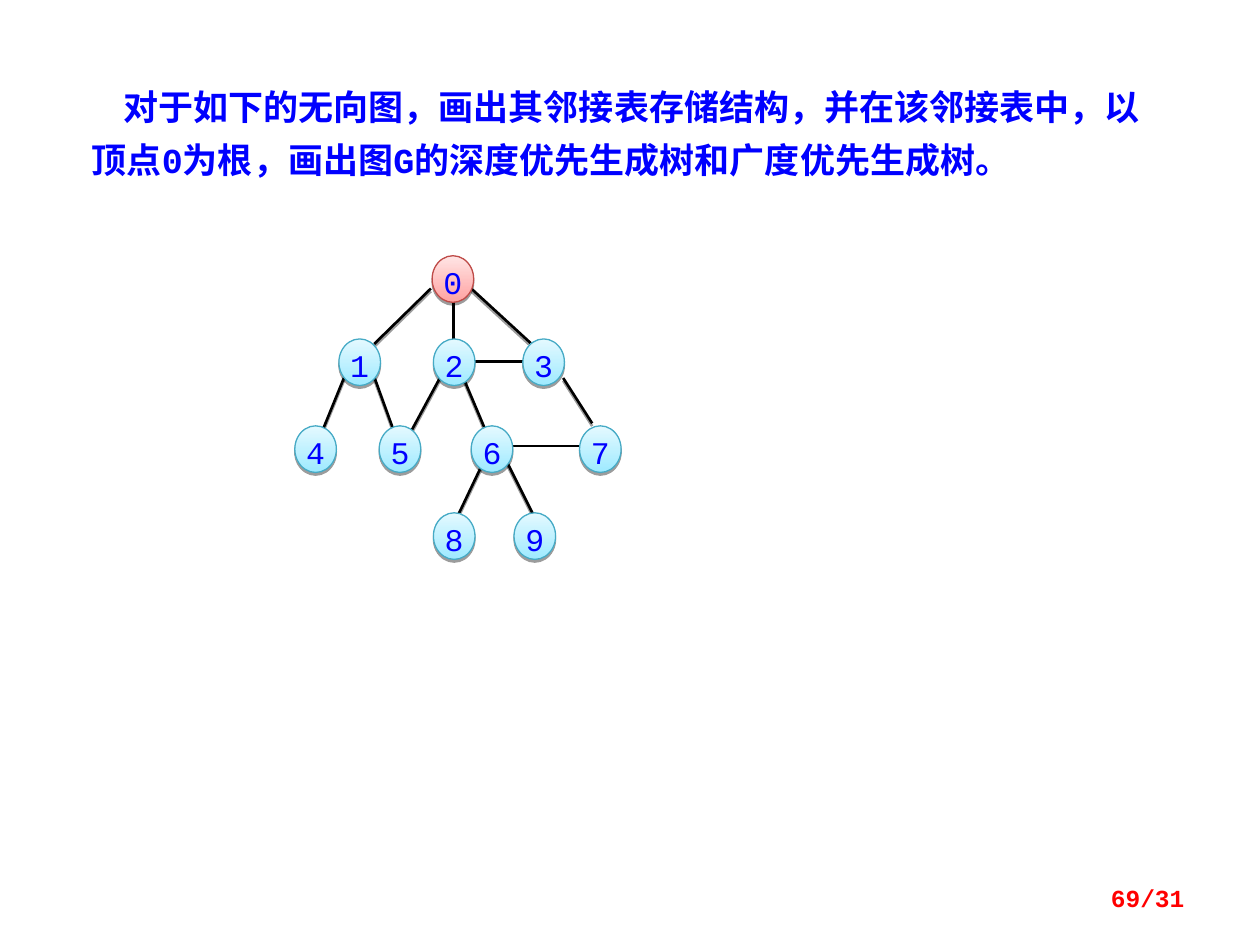
import lxml.etree
import pptx
import pptx.dml.color
import pptx.enum.shapes
import pptx.enum.text
import pptx.oxml.ns
import pptx.util

COLORS = {
    "text": "0000FF", "number": "FF0000", "edge": "000000",
    "root_dark": "FFA2A1", "root_light": "FFE5E5", "root_line": "BE4B48",
    "node_dark": "9EEAFF", "node_light": "E4F9FF", "node_line": "46AAC5",
}
FONT = "Courier New"
COLUMNS, ROWS = 100, 75
CELL = pptx.util.Inches(0.1)
NODE_WIDTH, NODE_HEIGHT = 3.3, 3.7
ROW_TOPS = [20.3, 26.9, 33.8, 40.7]
NODE_ROWS = [
    [("0", 34.3)],
    [("1", 26.9), ("2", 34.4), ("3", 41.5)],
    [("4", 23.4), ("5", 30.1), ("6", 37.4), ("7", 46)],
    [("8", 34.4), ("9", 40.8)],
]
PLAIN_EDGES = [
    (36, 23.7, 36, 27.3),
    (37.6, 28.7, 41.8, 28.7),
    (40.7, 35.4, 46.9, 35.4),
]
SHADED_EDGES = [
    (34.2, 22.9, 29.7, 27.3),
    (37.4, 22.9, 42.3, 27.4),
    (27.5, 29.5, 25.5, 34.4),
    (29.7, 29.9, 31.4, 34.6),
    (35.4, 29.1, 32.7, 34.1),
    (36.7, 29.8, 38.6, 34.3),
    (44.7, 30, 47, 33.6),
    (38.4, 36.6, 36.3, 41),
    (40.1, 36.4, 42.7, 41.6),
]


def cells(*counts):
    """Turn counts of grid cells into lengths."""
    return [round(count * CELL) for count in counts]


def rgb(name):
    """Look up a colour of the slide by its name."""
    return pptx.dml.color.RGBColor.from_string(COLORS[name])


def set_effects(item, shaded):
    """Give a shape or connector a hard lower shadow, or none."""
    tag = pptx.oxml.ns.qn
    effects = lxml.etree.SubElement(item._element.spPr, tag("a:effectLst"))
    if shaded:
        shadow = lxml.etree.SubElement(
            effects, tag("a:outerShdw"), blurRad="0",
            dist=str(pptx.util.Pt(1.6)), dir="5400000", rotWithShape="0")
        color = lxml.etree.SubElement(shadow, tag("a:srgbClr"), val=COLORS["edge"])
        lxml.etree.SubElement(color, tag("a:alpha"), val="38000")


def write(frame, text, size, color, bold=False, align=None, spacing=None, indent=0):
    """Write one formatted paragraph into a text frame and return it."""
    frame.word_wrap = True
    para = frame.paragraphs[0]
    para.alignment = align
    para.line_spacing = spacing
    if indent:
        para._p.get_or_add_pPr().set("indent", str(cells(indent)[0]))
    span = para.add_run()
    span.text = text
    span.font.name = FONT
    span.font.size = pptx.util.Pt(size)
    span.font.bold = bold
    span.font.color.rgb = rgb(color)
    return para


def add_text(page, place, text, anchor=pptx.enum.text.MSO_ANCHOR.TOP, **style):
    """Add a wrapped text box on the grid."""
    box = page.shapes.add_textbox(*cells(*place))
    box.text_frame.vertical_anchor = anchor
    write(box.text_frame, text, **style)


def add_edge(page, ends, shaded):
    """Draw one edge of the graph."""
    edge = page.shapes.add_connector(
        pptx.enum.shapes.MSO_CONNECTOR.STRAIGHT, *cells(*ends))
    edge.line.color.rgb = rgb("edge")
    edge.line.width = pptx.util.Pt(1.5)
    set_effects(edge, shaded)


def add_node(page, label, left, top, kind):
    """Draw one labelled vertex of the graph."""
    node = page.shapes.add_shape(
        pptx.enum.shapes.MSO_SHAPE.OVAL, *cells(left, top, NODE_WIDTH, NODE_HEIGHT))
    node.fill.gradient()
    node.fill.gradient_angle = 90
    for stop, shade in zip(node.fill.gradient_stops, ("dark", "light")):
        stop.color.rgb = rgb(f"{kind}_{shade}")
    node.line.color.rgb = rgb(f"{kind}_line")
    node.line.width = pptx.util.Pt(0.75)
    set_effects(node, True)
    frame = node.text_frame
    frame.margin_left = frame.margin_right = frame.margin_top = frame.margin_bottom = 0
    frame.vertical_anchor = pptx.enum.text.MSO_ANCHOR.TOP
    write(frame, label, size=18, color="text", align=pptx.enum.text.PP_ALIGN.CENTER)


def add_graph(page):
    """Draw the edges and then the vertices over them."""
    for edges, shaded in ((PLAIN_EDGES, False), (SHADED_EDGES, True)):
        for ends in edges:
            add_edge(page, ends, shaded)
    for top, nodes in zip(ROW_TOPS, NODE_ROWS):
        for label, left in nodes:
            add_node(page, label, left, top, "root" if label == "0" else "node")


def main():
    """Build the slide and save the deck."""
    deck = pptx.Presentation()
    deck.slide_width, deck.slide_height = cells(COLUMNS, ROWS)
    page = deck.slides.add_slide(deck.slide_layouts[6])
    add_text(
        page, (6.3, 5.5, 85.9, 9.4),
        "对于如下的无向图，画出其邻接表存储结构，并在该邻接表中，以顶点0为根，"
        "画出图G的深度优先生成树和广度优先生成树。",
        size=20, color="text", bold=True, spacing=pptx.util.Pt(30), indent=2.5)
    add_graph(page)
    add_text(
        page, (71.7, 69.5, 23.3, 4), "69/31",
        anchor=pptx.enum.text.MSO_ANCHOR.MIDDLE, size=14, color="number", bold=True,
        align=pptx.enum.text.PP_ALIGN.RIGHT, spacing=0.8)
    deck.save("out.pptx")


if __name__ == "__main__":
    main()
